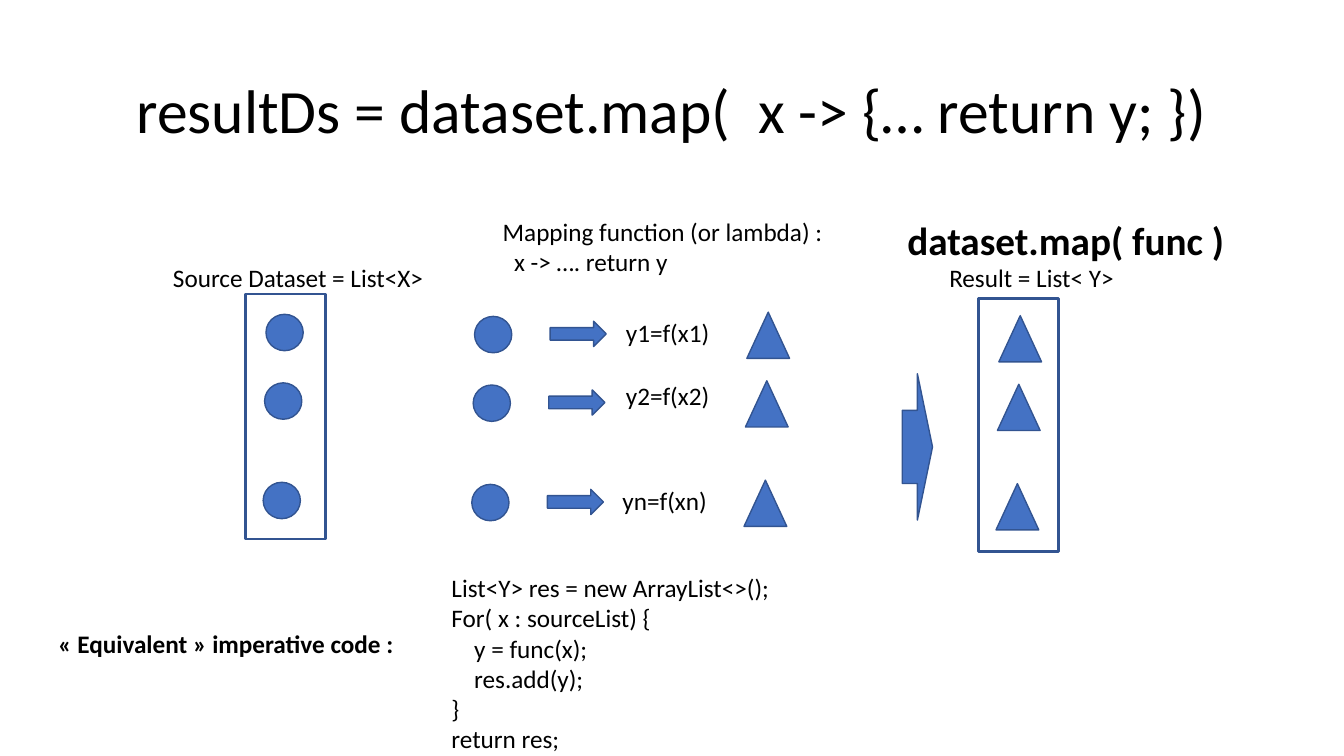
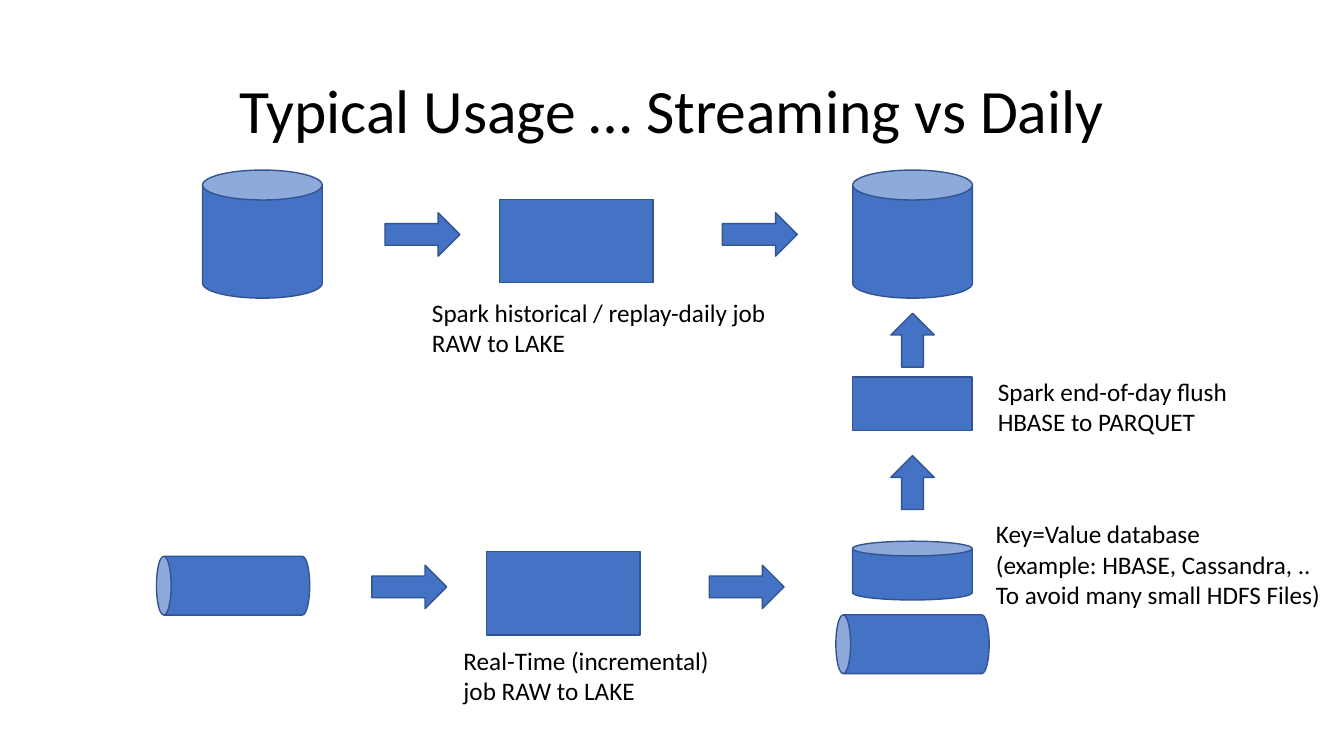
from dataclasses import dataclass

import pptx
import pptx.dml.color
import pptx.enum.shapes
import pptx.enum.text
import pptx.presentation
import pptx.slide
import pptx.text.text
import pptx.util

Pt = pptx.util.Pt
Kind = pptx.enum.shapes.MSO_SHAPE
COLORS = {"fill": "4472C4", "outline": "325491", "text": "000000"}
FONT = "Calibri"


@dataclass(frozen=True)
class Figure:
    kind: Kind
    left: float
    top: float
    width: float
    height: float
    rotation: float = 0
    filled: bool = True

    def shifted(self, across: float, down: float) -> "Figure":
        return Figure(self.kind, self.left + across, self.top + down,
                      self.width, self.height, self.rotation, self.filled)


@dataclass(frozen=True)
class Label:
    text: str
    left: float
    top: float
    width: float
    height: float = 29
    size: float = 18
    bold: bool = False


def color(name: str) -> pptx.dml.color.RGBColor:
    return pptx.dml.color.RGBColor.from_string(COLORS[name])


def style_paragraphs(frame: pptx.text.text.TextFrame, size: float, bold: bool) -> None:
    for paragraph in frame.paragraphs:
        paragraph.font.name = FONT
        paragraph.font.size = Pt(size)
        paragraph.font.bold = bold
        paragraph.font.color.rgb = color("text")


def add_titled_slide(deck: pptx.presentation.Presentation, heading: str) -> pptx.slide.Slide:
    slide = deck.slides.add_slide(deck.slide_layouts.get_by_name("Title Only"))
    title = slide.shapes.title
    title.left, title.top, title.width, title.height = Pt(66), Pt(28.8), Pt(828), Pt(104.4)
    title.text_frame.text = heading
    title.text_frame.vertical_anchor = pptx.enum.text.MSO_ANCHOR.MIDDLE
    paragraph = title.text_frame.paragraphs[0]
    paragraph.alignment = pptx.enum.text.PP_ALIGN.CENTER
    paragraph.line_spacing = 0.9
    style_paragraphs(title.text_frame, 44, False)
    return slide


def draw_figure(slide: pptx.slide.Slide, figure: Figure) -> None:
    shape = slide.shapes.add_shape(figure.kind, Pt(figure.left), Pt(figure.top),
                                   Pt(figure.width), Pt(figure.height))
    shape.rotation = figure.rotation
    shape.shadow.inherit = False
    if figure.filled:
        shape.fill.solid()
        shape.fill.fore_color.rgb = color("fill")
    else:
        shape.fill.background()
    shape.line.color.rgb = color("outline")
    shape.line.width = Pt(1 if figure.filled else 2)


def draw_label(slide: pptx.slide.Slide, label: Label) -> None:
    box = slide.shapes.add_textbox(Pt(label.left), Pt(label.top),
                                   Pt(label.width), Pt(label.height))
    frame = box.text_frame
    frame.text = label.text
    frame.word_wrap = False
    frame.auto_size = pptx.enum.text.MSO_AUTO_SIZE.SHAPE_TO_FIT_TEXT
    style_paragraphs(frame, label.size, label.bold)


def draw_all(slide: pptx.slide.Slide, figures: list[Figure], labels: list[Label]) -> None:
    for figure in figures:
        draw_figure(slide, figure)
    for label in labels:
        draw_label(slide, label)


def build_map_slide(deck: pptx.presentation.Presentation) -> None:
    slide = add_titled_slide(deck, "resultDs = dataset.map(  x -> {… return y; })")
    first_row = [
        Figure(Kind.OVAL, 190, 224.5, 26.6, 26),
        Figure(Kind.OVAL, 339, 226, 26.6, 26),
        Figure(Kind.RIGHT_ARROW, 393, 229.5, 40, 18),
        Figure(Kind.ISOSCELES_TRIANGLE, 533.5, 223, 30.5, 33),
        Figure(Kind.ISOSCELES_TRIANGLE, 713.5, 225.5, 30.5, 33),
    ]
    row_shifts = [(0, 0), (-1, 49), (-2, 120)]
    figures = [
        Figure(Kind.RECTANGLE, 175.5, 210, 57, 175, filled=False),
        Figure(Kind.RECTANGLE, 699, 213, 57, 181, filled=False),
        Figure(Kind.RIGHT_ARROW, 644.5, 267, 21.6, 104.5),
    ]
    figures += [figure.shifted(*shift) for shift in row_shifts for figure in first_row]
    code = "\n".join([
        "List<Y> res = new ArrayList<>();",
        "For( x : sourceList) {",
        "    y = func(x);",
        "    res.add(y);",
        "}",
        "return res;",
    ])
    labels = [
        Label("Source Dataset = List<X>", 116.5, 183.6, 199.5),
        Label("Result = List< Y>", 671, 184, 133),
        Label("y1=f(x1)", 440, 223, 75),
        Label("y2=f(x2)", 440, 268, 75),
        Label("yn=f(xn)", 437.5, 343, 75.5),
        Label("Mapping function (or lambda) :\n  x -> …. return y", 352, 151, 246, 51),
        Label("dataset.map( func )", 641, 151, 243, 41, 28, True),
        Label("«\u00a0Equivalent\u00a0» imperative code :".replace("\u00a0", " "),
              34.5, 445.5, 256, bold=True),
        Label(code, 315.4, 405.4, 244, 138),
    ]
    draw_all(slide, figures, labels)


def build_usage_slide(deck: pptx.presentation.Presentation) -> None:
    slide = add_titled_slide(deck, "Typical Usage … Streaming vs Daily")
    daily_job = [
        Figure(Kind.RIGHT_ARROW, 275, 152, 53.5, 31),
        Figure(Kind.RECTANGLE, 357, 142.3, 109.5, 59.5),
        Figure(Kind.RIGHT_ARROW, 516, 152, 53.5, 31),
    ]
    streaming_job = [figure.shifted(-9.4, 251.7) for figure in daily_job]
    raw_store = Figure(Kind.CAN, 144.7, 121.5, 85.5, 91.5)
    raw_queue = Figure(Kind.CAN, 145.5, 363.6, 42, 109.5, 270)
    flush_arrow = Figure(Kind.RIGHT_ARROW, 632.6, 227.5, 38.5, 31, 270)
    figures = [
        raw_store,
        raw_store.shifted(464.4, 0),
        raw_queue,
        raw_queue.shifted(485.3, 41.8),
        *daily_job,
        *streaming_job,
        Figure(Kind.CAN, 609, 386.6, 85.5, 42),
        Figure(Kind.RECTANGLE, 609, 269.3, 85.5, 38.3),
        flush_arrow,
        flush_arrow.shifted(0, 101.7),
    ]
    labels = [
        Label("Spark historical / replay-daily job\nRAW to LAKE", 301.5, 209, 260, 51),
        Label("Real-Time (incremental)\vjob RAW to LAKE", 324, 457.5, 191.5, 51),
        Label("Key=Value database\n(example: HBASE, Cassandra, ..\nTo avoid many small HDFS Files)",
              704.3, 367, 248.5, 73),
        Label("Spark end-of-day flush\vHBASE to PARQUET", 705.6, 265, 180.7, 51),
    ]
    draw_all(slide, figures, labels)


def main() -> None:
    deck = pptx.Presentation()
    deck.slide_width, deck.slide_height = Pt(960), Pt(540)
    build_map_slide(deck)
    build_usage_slide(deck)
    deck.save("out.pptx")


if __name__ == "__main__":
    main()
